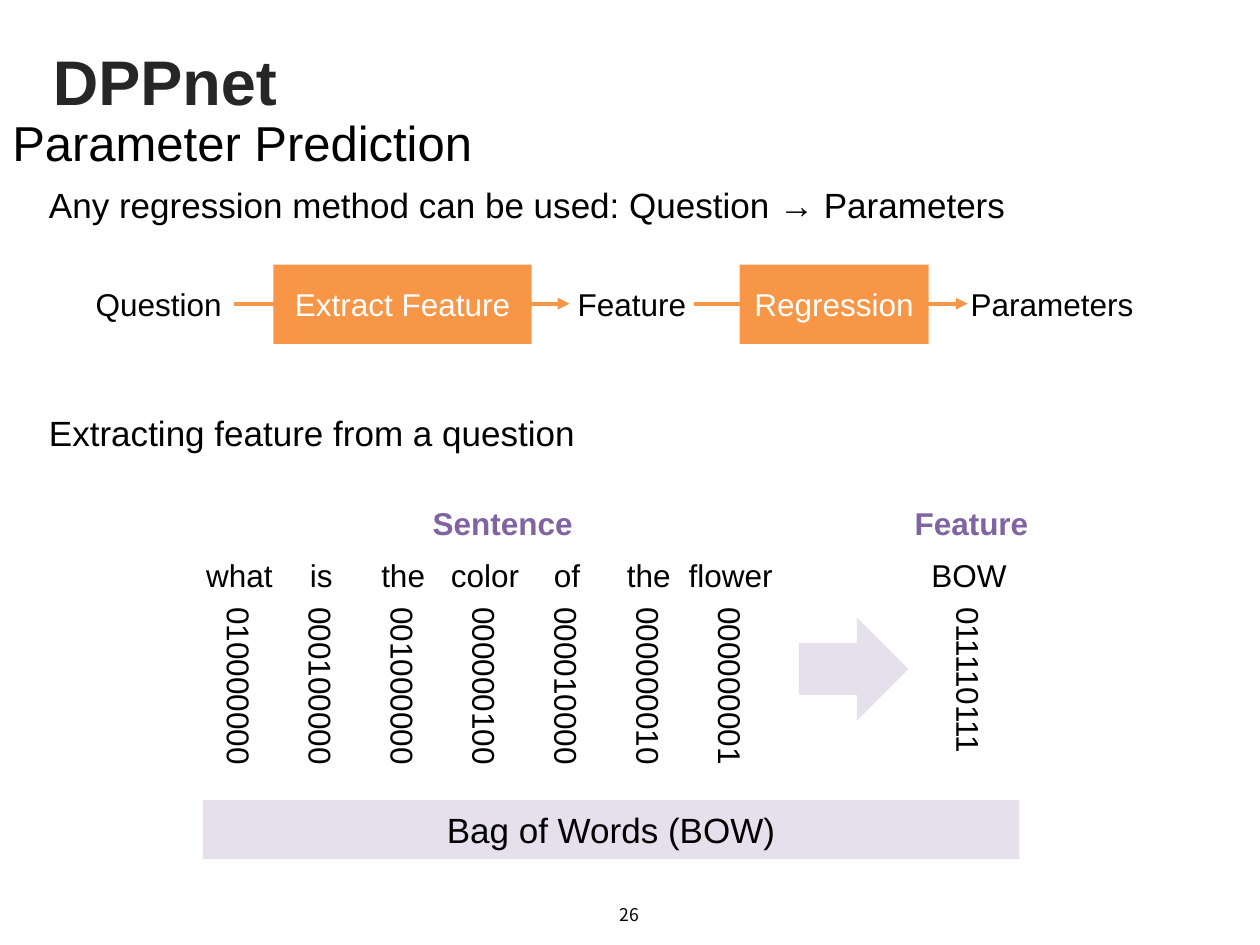
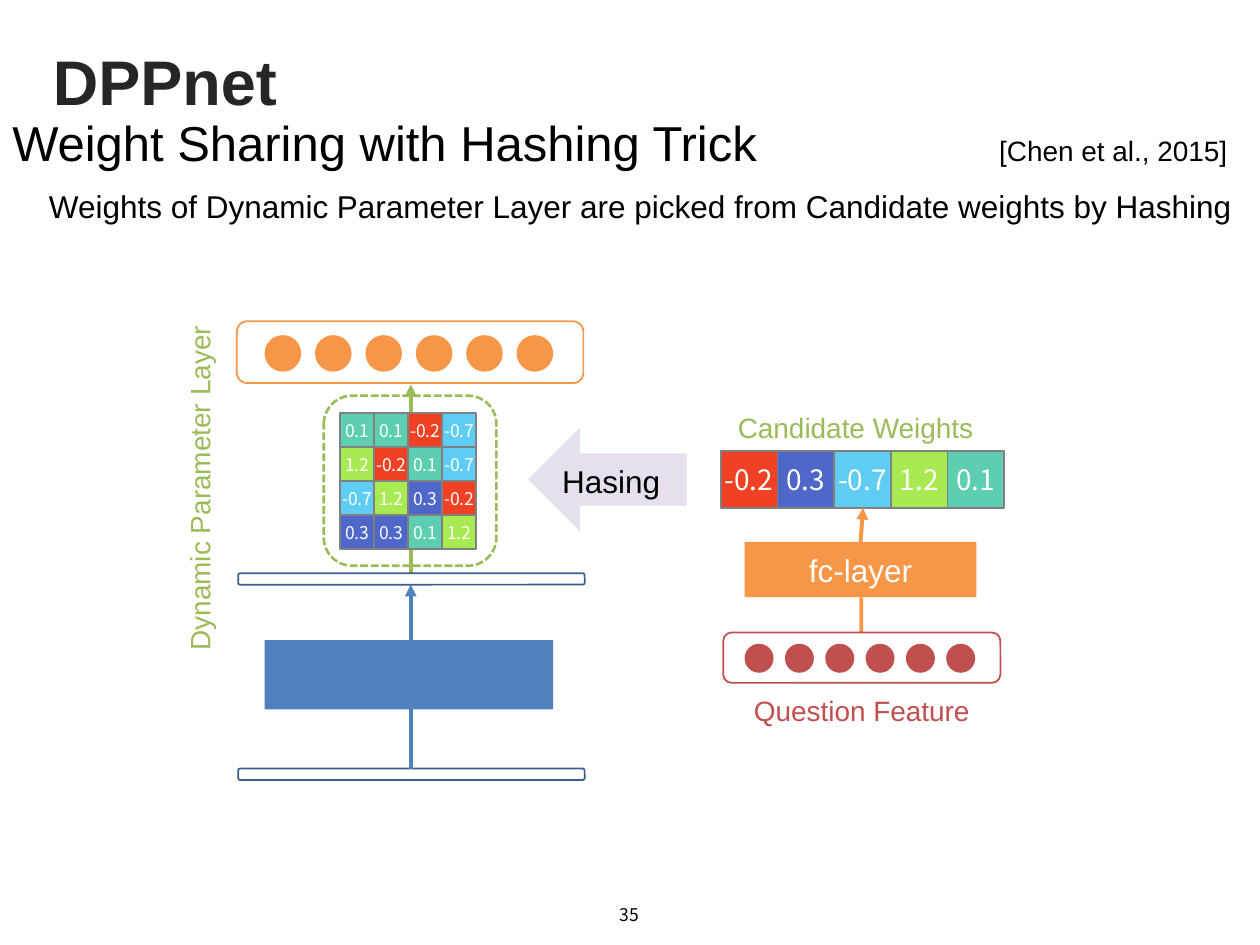
from lxml.etree import SubElement
from pptx import Presentation
from pptx.dml.color import RGBColor
from pptx.enum.dml import MSO_LINE
from pptx.enum.shapes import MSO_CONNECTOR, MSO_SHAPE
from pptx.enum.text import MSO_ANCHOR, MSO_AUTO_SIZE, PP_ALIGN
from pptx.oxml.ns import qn
from pptx.util import Inches, Pt

SANS, CJK = "Arial", "Noto Sans CJK KR"
BLACK, WHITE, INK, GRAY = "000000", "FFFFFF", "262626", "808080"
ORANGE, GREEN, BLUE, NAVY = "F79646", "9BBB59", "4F81BD", "3A5F8C"
RED, PURPLE, LILAC = "C0504D", "8064A2", "E6E0EC"
LEFT, MID, RIGHT = PP_ALIGN.LEFT, PP_ALIGN.CENTER, PP_ALIGN.RIGHT
TINTS = {"-0.2": "F14124", "0.3": "4E67C8", "-0.7": "5ECCF3",
         "1.2": "A7EA52", "0.1": "5DCEAF"}
WEIGHTS = [["0.1", "0.1", "-0.2", "-0.7"],
           ["1.2", "-0.2", "0.1", "-0.7"],
           ["-0.7", "1.2", "0.3", "-0.2"],
           ["0.3", "0.3", "0.1", "1.2"]]
WORDS = [("what", "010000000"), ("is", "000100000"), ("the", "001000000"),
         ("color", "000000100"), ("of", "000010000"), ("the", "000000010"),
         ("flower", "000000001")]


def tone(code):
    return RGBColor.from_string(code)


def write(shape, text, size=18, color=BLACK, font=SANS, bold=False,
          align=MID, inset=0.0, wrap=True):
    frame = shape.text_frame
    frame.auto_size = MSO_AUTO_SIZE.NONE
    frame.word_wrap = wrap
    frame.vertical_anchor = MSO_ANCHOR.MIDDLE
    frame.margin_left = frame.margin_right = Inches(inset)
    frame.margin_top = frame.margin_bottom = Inches(inset / 2)
    para = frame.paragraphs[0]
    para.alignment = align
    run = para.add_run()
    run.text = text
    run.font.size = Pt(size)
    run.font.name = font
    run.font.bold = bold
    run.font.color.rgb = tone(color)


class Deck:
    """Holds the shared style and the current slide."""

    def __init__(self):
        self.show = Presentation()
        self.show.slide_width = Inches(10)
        self.show.slide_height = Inches(7.5)

    def start(self, head, number):
        self.slide = self.show.slides.add_slide(self.show.slide_layouts[5])
        title = self.slide.shapes.title
        title.left, title.top = Inches(0.32), Inches(0.28)
        title.width, title.height = Inches(9.38), Inches(0.72)
        write(title, "DPPnet", size=36, color=INK, bold=True, align=LEFT,
              inset=0.1)
        self.text(head, 0, 0.8, 10, 0.66, size=28, align=LEFT, inset=0.1)
        self.text(number, 3.83, 7.06, 2.33, 0.4, size=10, font=CJK)

    def text(self, text, x, y, w, h, turn=0, **style):
        box = self.slide.shapes.add_textbox(
            Inches(x), Inches(y), Inches(w), Inches(h))
        box.rotation = turn
        write(box, text, **style)
        return box

    def point(self, text, y, size=20):
        self.text(text, 0.29, y, 9.71, 0.47, size=size, align=LEFT, inset=0.1)

    def code(self, text, mid):
        box = self.text(text, mid - 0.15, 4.82, 0.3, 1.26, wrap=False)
        box.element.txBody.bodyPr.set("vert", "eaVert")

    def shape(self, kind, x, y, w, h, fill=None, line=None, width=1,
              dash=None, text=None, **style):
        item = self.slide.shapes.add_shape(
            kind, Inches(x), Inches(y), Inches(w), Inches(h))
        item.shadow.inherit = False
        if fill:
            item.fill.solid()
            item.fill.fore_color.rgb = tone(fill)
        else:
            item.fill.background()
        if line:
            item.line.color.rgb = tone(line)
            item.line.width = Pt(width)
            item.line.dash_style = dash
        else:
            item.line.fill.background()
        if text:
            write(item, text, **style)

    def box(self, x, y, w, h, fill, **more):
        self.shape(MSO_SHAPE.RECTANGLE, x, y, w, h, fill, **more)

    def round(self, x, y, w, h, line, **more):
        self.shape(MSO_SHAPE.ROUNDED_RECTANGLE, x, y, w, h, line=line, **more)

    def dots(self, x, y, size, step, fill):
        for i in range(6):
            self.shape(MSO_SHAPE.OVAL, x + i * step, y, size, size, fill)

    def cells(self, rows, x, y, side, size):
        for r, row in enumerate(rows):
            for c, value in enumerate(row):
                self.box(x + c * side, y + r * side, side, side, TINTS[value],
                         line=GRAY, text=value, size=size, color=WHITE,
                         font=CJK, wrap=False)

    def arrow(self, x1, y1, x2, y2, color):
        line = self.slide.shapes.add_connector(
            MSO_CONNECTOR.STRAIGHT, Inches(x1), Inches(y1), Inches(x2),
            Inches(y2))
        line.line.color.rgb = tone(color)
        line.line.width = Pt(2.25)
        SubElement(line.line._get_or_add_ln(), qn("a:tailEnd"),
                   type="triangle")
        SubElement(line.element.spPr, qn("a:effectLst"))


def predict(deck):
    deck.start("Parameter Prediction", "26")
    deck.point("Any regression method can be used: Question → Parameters", 1.39)
    for x1, x2 in [(1.86, 4.52), (5.51, 7.68)]:
        deck.arrow(x1, 2.41, x2, 2.41, ORANGE)
    for text, x, w in [("Question", 0.66, 1.2), ("Feature", 4.52, 0.99),
                       ("Parameters", 7.68, 1.34)]:
        deck.text(text, x, 2.1, w, 0.63)
    for text, x, w in [("Extract Feature", 2.17, 2.05),
                       ("Regression", 5.87, 1.5)]:
        deck.box(x, 2.1, w, 0.63, ORANGE, text=text, color=WHITE)

    deck.point("Extracting feature from a question", 3.2)
    for text, x in [("Sentence", 3.05), ("Feature", 6.77)]:
        deck.text(text, x, 4.03, 1.88, 0.24, color=PURPLE, bold=True)
    pairs = [(1.9 + i * 0.65, *pair) for i, pair in enumerate(WORDS)]
    for mid, word, code in pairs + [(7.69, "BOW", "011110111")]:
        deck.text(word, mid - 0.45, 4.36, 0.9, 0.4)
        deck.code(code, mid)
    deck.shape(MSO_SHAPE.RIGHT_ARROW, 6.34, 4.9, 0.87, 0.82, LILAC)
    deck.box(1.61, 6.35, 6.48, 0.47, LILAC, text="Bag of Words (BOW)", size=20)


def share(deck):
    deck.start("Weight Sharing with Hashing Trick", "35")
    deck.text("[Chen et al., 2015]", 7.44, 0.99, 2.4, 0.4, size=16,
              align=RIGHT, inset=0.1)
    deck.point("Weights of Dynamic Parameter Layer are picked from "
               "Candidate weights by Hashing", 1.4, size=18)

    deck.arrow(3.26, 4.55, 3.26, 3.05, GREEN)
    for y in (4.55, 6.1):
        deck.round(1.89, y, 2.75, 0.09, NAVY)
    deck.box(2.1, 5.08, 2.29, 0.55, BLUE)
    deck.arrow(3.26, 6.1, 3.26, 4.64, BLUE)
    deck.round(1.88, 2.55, 2.75, 0.49, ORANGE)
    deck.dots(2.1, 2.66, 0.29, 0.4, ORANGE)
    deck.cells(WEIGHTS, 2.7, 3.28, 0.27, 10)
    deck.round(2.57, 3.14, 1.37, 1.35, GREEN, width=1.5,
               dash=MSO_LINE.SQUARE_DOT)
    deck.text("Dynamic Parameter Layer", 0.04, 3.67, 3.08, 0.41, turn=270,
              size=16, color=GREEN)

    deck.shape(MSO_SHAPE.LEFT_ARROW, 4.19, 3.39, 1.26, 0.83, LILAC)
    deck.text("Hasing", 4.22, 3.59, 1.26, 0.45)

    deck.text("Candidate Weights", 5.74, 3.19, 2.1, 0.41, size=16, color=GREEN)
    deck.cells([list(TINTS)], 5.72, 3.58, 0.45, 16)
    deck.box(5.91, 4.3, 1.84, 0.44, ORANGE, text="fc-layer", color=WHITE)
    deck.arrow(6.83, 4.3, 6.85, 4.03, ORANGE)
    deck.box(6.82, 4.74, 0.03, 0.28, ORANGE)
    deck.round(5.74, 5.02, 2.2, 0.4, RED)
    deck.dots(5.91, 5.11, 0.23, 0.32, RED)
    deck.text("Question Feature", 5.79, 5.43, 2.1, 0.41, size=16, color=RED)


def main():
    deck = Deck()
    predict(deck)
    share(deck)
    deck.show.save("out.pptx")


if __name__ == "__main__":
    main()
